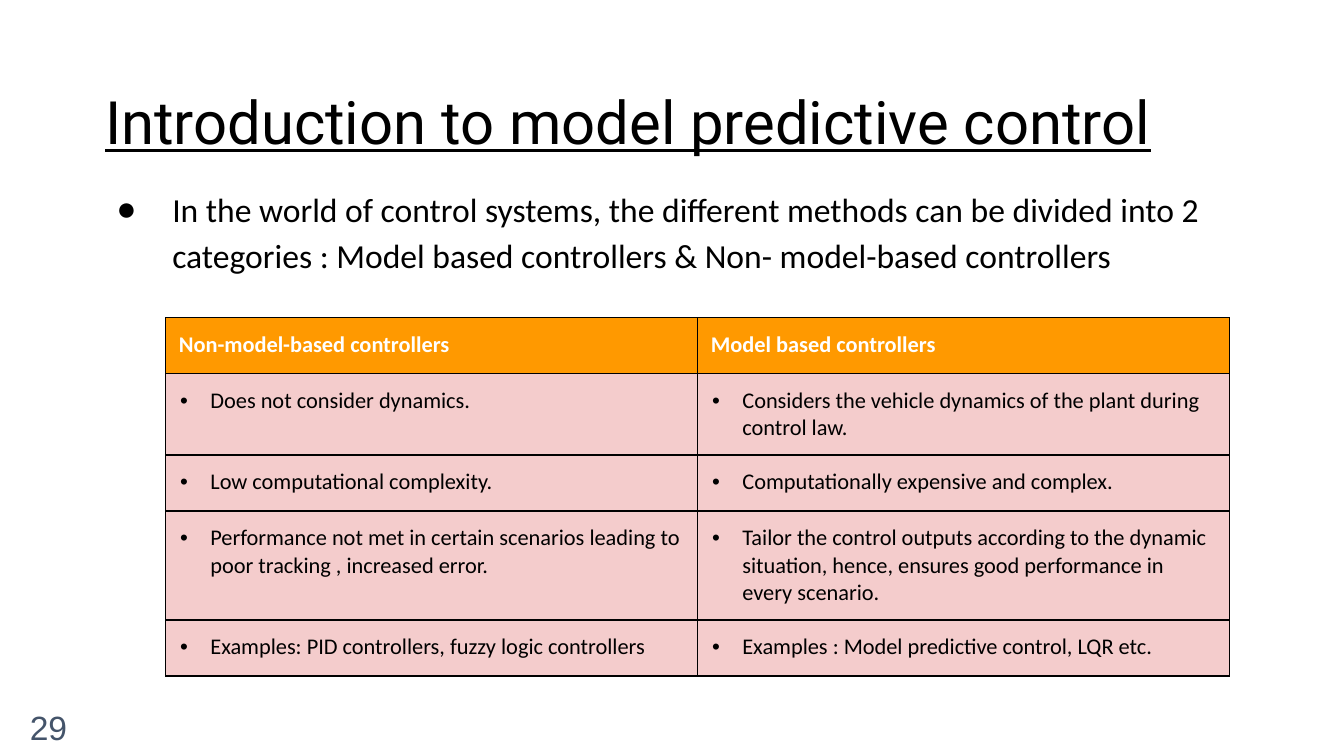
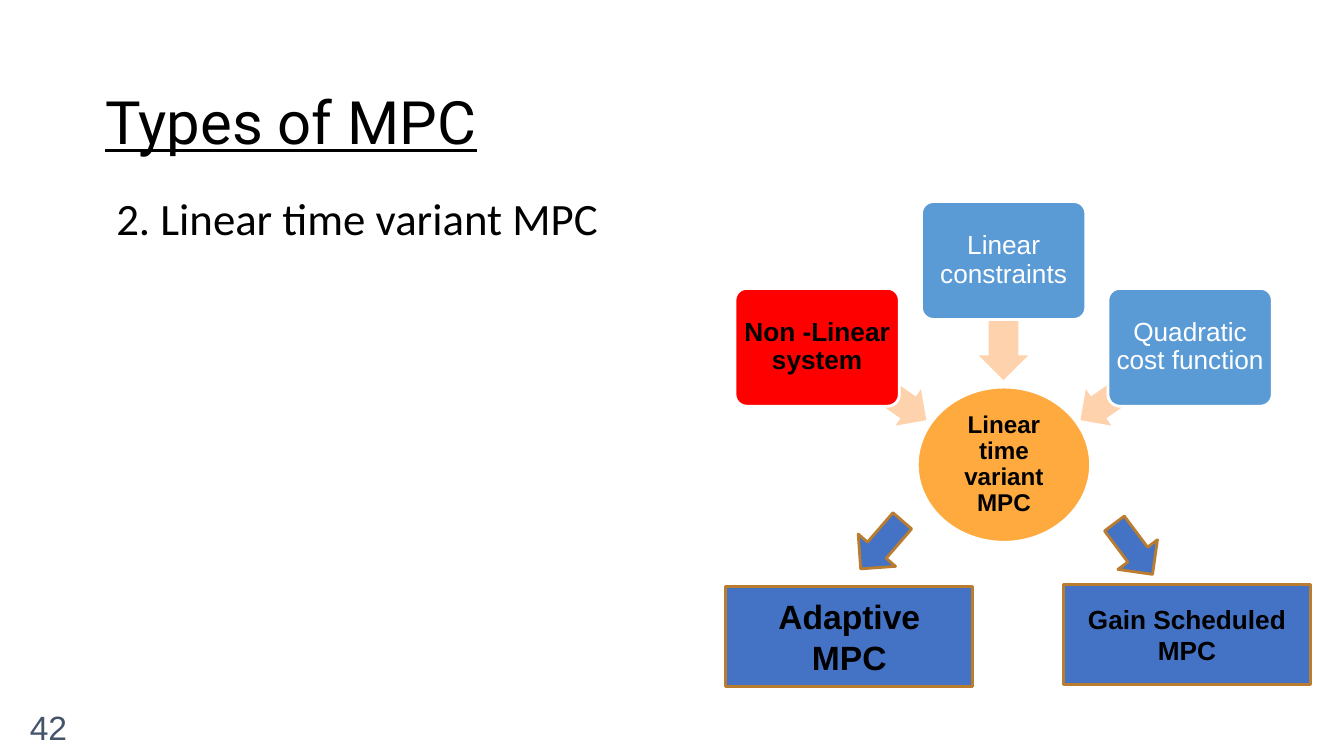
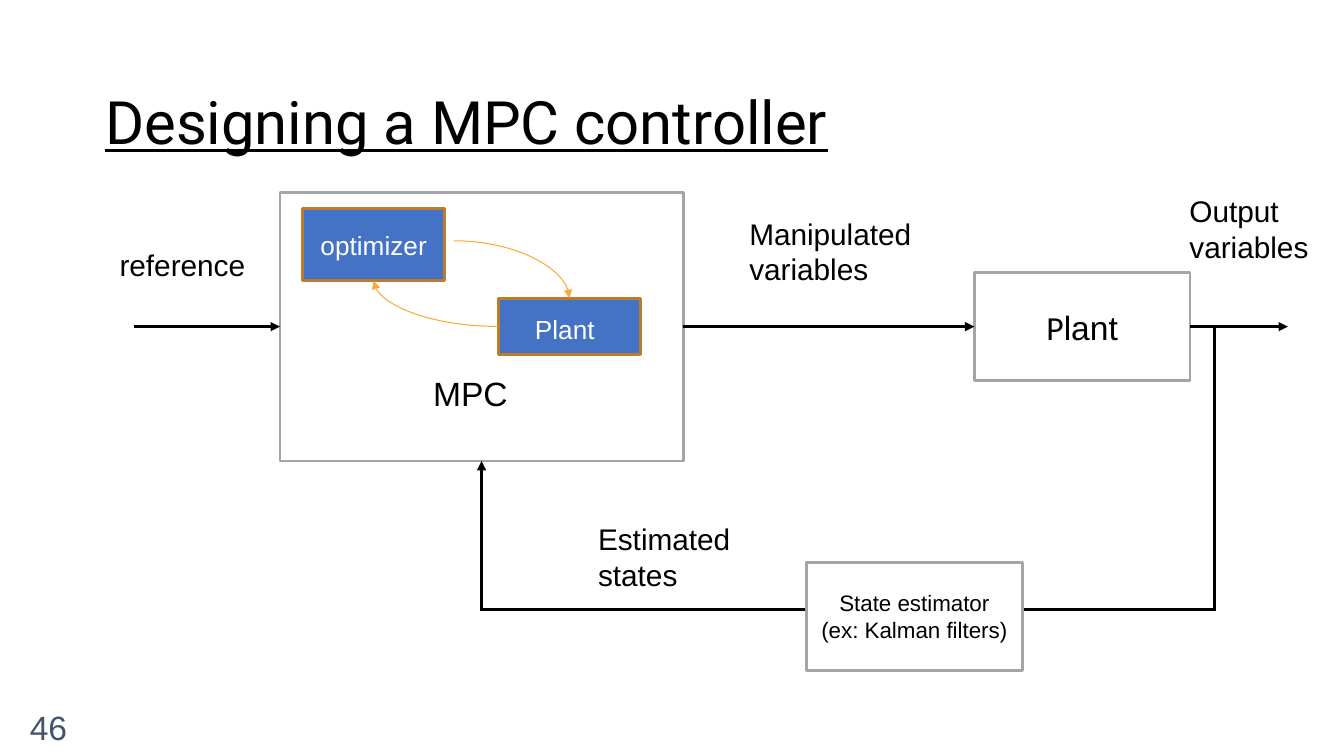
"""Build three slides on model predictive control."""
from dataclasses import dataclass
from typing import Optional

from lxml import etree
from pptx import Presentation
from pptx.dml.color import RGBColor
from pptx.enum.shapes import MSO_CONNECTOR, MSO_SHAPE
from pptx.enum.text import MSO_ANCHOR, PP_ALIGN
from pptx.oxml.ns import qn
from pptx.util import Pt

LEFT, CENTER, RIGHT = PP_ALIGN.LEFT, PP_ALIGN.CENTER, PP_ALIGN.RIGHT
TOP, MIDDLE = MSO_ANCHOR.TOP, MSO_ANCHOR.MIDDLE
RECT, ROUNDED, OVAL = MSO_SHAPE.RECTANGLE, MSO_SHAPE.ROUNDED_RECTANGLE, MSO_SHAPE.OVAL
LEFT_ARROW, DOWN_ARROW = MSO_SHAPE.LEFT_ARROW, MSO_SHAPE.DOWN_ARROW
STRAIGHT, CURVE = MSO_CONNECTOR.STRAIGHT, MSO_CONNECTOR.CURVE
SIDE_TOP, SIDE_LEFT, SIDE_BOTTOM, SIDE_RIGHT = range(4)


@dataclass(frozen=True)
class Theme:
    black: str = "000000"
    white: str = "FFFFFF"
    number: str = "44546A"
    header: str = "FF9900"
    row: str = "F4CCCC"
    blue: str = "4472C4"
    bronze: str = "BA7C2E"
    sky: str = "5B9BD5"
    red: str = "FF0000"
    orange: str = "FFAA3F"
    peach: str = "FFD2AE"
    curve: str = "FDA739"
    grey: str = "A5A5A5"
    heading_font: str = "Roboto"
    body_font: str = "Calibri"
    diagram_font: str = "Arial"
    title_size: float = 42.7
    statement_size: float = 32
    large_size: float = 24
    label_size: float = 21.3
    node_size: float = 18.7
    hub_size: float = 17.3
    small_size: float = 16


THEME = Theme()


@dataclass(frozen=True)
class Box:
    x: float
    y: float
    w: float
    h: float


@dataclass(frozen=True)
class Run:
    text: str
    size: float
    color: str = THEME.black
    font: str = THEME.diagram_font
    bold: bool = False
    underline: bool = False


@dataclass(frozen=True)
class Layout:
    align: PP_ALIGN = LEFT
    anchor: MSO_ANCHOR = TOP
    inset_x: float = 9.6
    inset_y: float = 9.6
    spacing: Optional[float] = None


@dataclass(frozen=True)
class Node:
    box: Box
    kind: MSO_SHAPE
    fill: str
    line: Optional[str] = None
    runs: tuple[Run, ...] = ()
    layout: Layout = Layout(CENTER, MIDDLE, 9.6, 4.8)
    rotation: float = 0
    adjust: tuple[float, ...] = ()


@dataclass(frozen=True)
class Link:
    start: tuple[float, float]
    end: tuple[float, float]
    kind: MSO_CONNECTOR = STRAIGHT
    color: str = THEME.black
    width: float = 2.25
    arrow: bool = True


LABEL = Layout(inset_y=4.8)
BODY = Box(65.5, 121, 894, 358.5)


def rgb(color: str) -> RGBColor:
    return RGBColor.from_string(color)


def place(box: Box) -> tuple[Pt, Pt, Pt, Pt]:
    return Pt(box.x), Pt(box.y), Pt(box.w), Pt(box.h)


def write(frame, runs: tuple[Run, ...], layout: Layout):
    frame_format = {
        "word_wrap": True, "vertical_anchor": layout.anchor,
        "margin_left": Pt(layout.inset_x), "margin_right": Pt(layout.inset_x),
        "margin_top": Pt(layout.inset_y), "margin_bottom": Pt(layout.inset_y),
    }
    for name, value in frame_format.items():
        setattr(frame, name, value)
    paragraph = frame.paragraphs[0]
    paragraph.alignment = layout.align
    if layout.spacing:
        paragraph.line_spacing = layout.spacing
    for run in runs:
        piece = paragraph.add_run()
        piece.text = run.text
        font_format = {"name": run.font, "size": Pt(run.size),
                       "bold": run.bold, "underline": run.underline}
        for name, value in font_format.items():
            setattr(piece.font, name, value)
        piece.font.color.rgb = rgb(run.color)
    return paragraph


def indent(paragraph, left: float, first: float, mark: str = "") -> None:
    properties = paragraph._p.get_or_add_pPr()
    properties.set("marL", str(int(Pt(left))))
    properties.set("indent", str(int(Pt(first))))
    if mark:
        color = etree.SubElement(properties, qn("a:buClr"))
        etree.SubElement(color, qn("a:srgbClr"), val=THEME.black)
        etree.SubElement(properties, qn("a:buFont"), typeface=THEME.diagram_font)
        etree.SubElement(properties, qn("a:buChar"), char=mark)


def add_text(slide, box: Box, run: Run, layout: Layout = LABEL):
    return write(slide.shapes.add_textbox(*place(box)).text_frame, (run,), layout)


def add_node(slide, node: Node):
    shape = slide.shapes.add_shape(node.kind, *place(node.box))
    shape.shadow.inherit = False
    shape.rotation = node.rotation
    for index, value in enumerate(node.adjust):
        shape.adjustments[index] = value
    shape.fill.solid()
    shape.fill.fore_color.rgb = rgb(node.fill)
    if node.line:
        shape.line.color.rgb = rgb(node.line)
        shape.line.width = Pt(2)
    else:
        shape.line.fill.background()
    if node.runs:
        write(shape.text_frame, node.runs, node.layout)
    return shape


def add_link(slide, link: Link, source=None, target=None) -> None:
    connector = slide.shapes.add_connector(
        link.kind, *(Pt(value) for value in link.start + link.end))
    if source:
        connector.begin_connect(*source)
    if target:
        connector.end_connect(*target)
    connector.line.color.rgb = rgb(link.color)
    connector.line.width = Pt(link.width)
    properties = connector._element.spPr
    outline = properties.find(qn("a:ln"))
    if link.arrow:
        etree.SubElement(outline, qn("a:tailEnd"), type="triangle")
    else:
        outline.set("cap", "sq")
    if link.kind == CURVE:
        properties.find(qn("a:prstGeom")).set("prst", "curvedConnector2")
    etree.SubElement(properties, qn("a:effectLst"))


def add_slide(deck, title: str, number: int):
    slide = deck.slides.add_slide(deck.slide_layouts[6])
    add_text(slide, Box(65.5, 51, 894, 60.5),
             Run(title, THEME.title_size, font=THEME.heading_font, underline=True), Layout())
    add_text(slide, Box(0, 499, 57.6, 41),
             Run(str(number), THEME.large_size, THEME.number), Layout(RIGHT, MIDDLE))
    return slide


def add_border(cell, side: str, width: float) -> None:
    line = etree.Element(qn(f"a:{side}"), w=str(int(Pt(width))))
    fill = etree.SubElement(line, qn("a:solidFill"))
    etree.SubElement(fill, qn("a:srgbClr"), val=THEME.black)
    properties = cell._tc.get_or_add_tcPr()
    properties.insert(len(properties.findall("*")), line)


def add_comparison(slide) -> None:
    rows = (
        ("Non-model-based controllers", "Model based controllers"),
        ("Does not consider dynamics.",
         "Considers the vehicle dynamics of the plant during control law."),
        ("Low computational complexity.", "Computationally expensive and complex."),
        ("Performance not met in certain scenarios leading to poor tracking , increased error.",
         "Tailor the control outputs according to the dynamic situation, hence, "
         "ensures good performance in every scenario."),
        ("Examples: PID controllers, fuzzy logic controllers",
         "Examples : Model predictive control, LQR etc."),
    )
    heights = (40, 58, 40, 78, 40)
    table = slide.shapes.add_table(
        len(rows), 2, *place(Box(118.2, 227, 760, sum(heights)))).table
    for column in table.columns:
        column.width = Pt(380)
    for r, (texts, height) in enumerate(zip(rows, heights)):
        table.rows[r].height = Pt(height)
        is_header = r == 0
        for c, text in enumerate(texts):
            cell = table.cell(r, c)
            for side in ("lnL", "lnR", "lnT", "lnB"):
                thick = (side == "lnB" and not is_header) or (side == "lnT" and r > 1)
                add_border(cell, side, 1.25 if thick else 0.75)
            cell.fill.solid()
            cell.fill.fore_color.rgb = rgb(THEME.header if is_header else THEME.row)
            for name in ("margin_left", "margin_right", "margin_top", "margin_bottom"):
                setattr(cell, name, Pt(9.6))
            color = THEME.white if is_header else THEME.black
            run = Run(text, THEME.small_size, color, THEME.body_font, is_header)
            paragraph = write(cell.text_frame, (run,), Layout())
            if not is_header:
                indent(paragraph, 22.5, -21.6, "•")


def build_introduction(deck) -> None:
    slide = add_slide(deck, "Introduction to model predictive control", 29)
    statement = Run(
        "In the world of control systems, the different methods can be divided into 2 "
        "categories : Model based controllers & Non- model-based controllers",
        THEME.large_size, font=THEME.body_font)
    indent(add_text(slide, BODY, statement, Layout(spacing=1.15)), 48, -40, "●")
    add_comparison(slide)


def build_types(deck) -> None:
    slide = add_slide(deck, "Types of MPC", 42)
    statement = Run("2. Linear time variant MPC", THEME.statement_size, font=THEME.body_font)
    indent(add_text(slide, BODY, statement, Layout(spacing=1.15)), 8, 0)

    hub = Run("Linear time variant MPC", THEME.hub_size, bold=True)
    add_node(slide, Node(Box(655.2, 276.5, 123.8, 110.9), OVAL, THEME.orange, THEME.white,
                         (hub,), Layout(CENTER, MIDDLE, 1, 1, 0.9)))
    side_y, top_y = 206, 144
    inputs = (
        ("Non -Linear system", side_y, THEME.red, THEME.black, Box(575.3, 257, 95, 31.7), 215),
        ("Linear constraints", top_y, THEME.sky, THEME.white, Box(673.9, 211, 85.7, 35.3), 270),
        ("Quadratic cost function", side_y, THEME.sky, THEME.white,
         Box(763.2, 257, 95, 31.7), 325),
    )
    for i, (text, y, fill, color, arrow, rotation) in enumerate(inputs):
        add_node(slide, Node(arrow, LEFT_ARROW, THEME.peach, rotation=rotation,
                             adjust=(0.6, 0.5)))
        run = Run(text, THEME.node_size, color, bold=fill == THEME.red)
        add_node(slide, Node(Box(525 + 133.2 * i, y, 117.4, 84.2), ROUNDED, fill, THEME.white,
                             (run,), Layout(CENTER, MIDDLE, 3, 3, 0.9), adjust=(0.1,)))
    variants = (
        ("Adaptive MPC", THEME.large_size, 518.4, 419, 612, 366.5, 40.9),
        ("Gain Scheduled MPC", THEME.node_size, 759.6, 417.6, 792, 369.4, 323.1),
    )
    for text, size, x, y, arrow_x, arrow_y, rotation in variants:
        add_node(slide, Node(Box(x, y, 176.4, 71.3), RECT, THEME.blue, THEME.bronze,
                             (Run(text, size, bold=True),)))
        add_node(slide, Node(Box(arrow_x, arrow_y, 35.3, 45.4), DOWN_ARROW, THEME.blue,
                             THEME.bronze, rotation=rotation, adjust=(0.5, 0.5)))


def build_design(deck) -> None:
    slide = add_slide(deck, "Designing a MPC controller", 46)
    flow_y, feedback_x, feedback_y = 233.3, 867.6, 435.6
    mpc = add_node(slide, Node(Box(200, 137.3, 288, 192), RECT, THEME.white, THEME.grey))
    optimizer = add_node(slide, Node(
        Box(216, 149, 101.8, 51.6), RECT, THEME.blue, THEME.bronze,
        (Run("optimizer", THEME.node_size, THEME.white),)))
    model = add_node(slide, Node(
        Box(355.9, 213, 101.8, 40.4), RECT, THEME.blue, THEME.bronze,
        (Run("Plant", THEME.node_size, THEME.white), Run(" ", THEME.large_size, THEME.white))))
    plant = add_node(slide, Node(
        Box(696, 194.6, 154, 77.4), RECT, THEME.white, THEME.grey,
        (Run("P", THEME.large_size, font=THEME.body_font), Run("lant", THEME.large_size))))

    add_link(slide, Link((324, 172), (406.8, 213), CURVE, THEME.curve, 0.75),
             target=(model, SIDE_TOP))
    add_link(slide, Link((355.9, flow_y), (266.9, 200.6), CURVE, THEME.curve, 0.75),
             (model, SIDE_LEFT), (optimizer, SIDE_BOTTOM))
    add_link(slide, Link((96, flow_y), (200, flow_y)), target=(mpc, SIDE_LEFT))
    add_link(slide, Link((488, flow_y), (696, flow_y)), (mpc, SIDE_RIGHT), (plant, SIDE_LEFT))
    add_link(slide, Link((850, flow_y), (920, flow_y)), (plant, SIDE_RIGHT))
    add_link(slide, Link((feedback_x, flow_y), (feedback_x, feedback_y), arrow=False))
    add_link(slide, Link((feedback_x, feedback_y), (344, feedback_y), arrow=False))
    add_link(slide, Link((344, feedback_y), (344, 329.3)), target=(mpc, SIDE_BOTTOM))

    add_node(slide, Node(Box(576, 401.8, 154.3, 77), RECT, THEME.white, THEME.grey,
                         (Run("State estimator (ex: Kalman filters)", THEME.small_size),)))
    add_text(slide, Box(240, 261.4, 192, 39), Run("MPC", THEME.large_size),
             Layout(CENTER, inset_y=4.8))
    labels = (
        ("reference", Box(75.8, 171.4, 131, 35)),
        ("Manipulated variables", Box(525.6, 149, 140.4, 61)),
        ("Output variables", Box(840, 133, 120, 61)),
        ("Estimated states", Box(417.6, 367.2, 140.4, 61)),
    )
    for text, box in labels:
        add_text(slide, box, Run(text, THEME.label_size))


def main() -> None:
    deck = Presentation()
    deck.slide_width, deck.slide_height = Pt(960), Pt(540)
    for build in (build_introduction, build_types, build_design):
        build(deck)
    deck.save("out.pptx")


if __name__ == "__main__":
    main()
